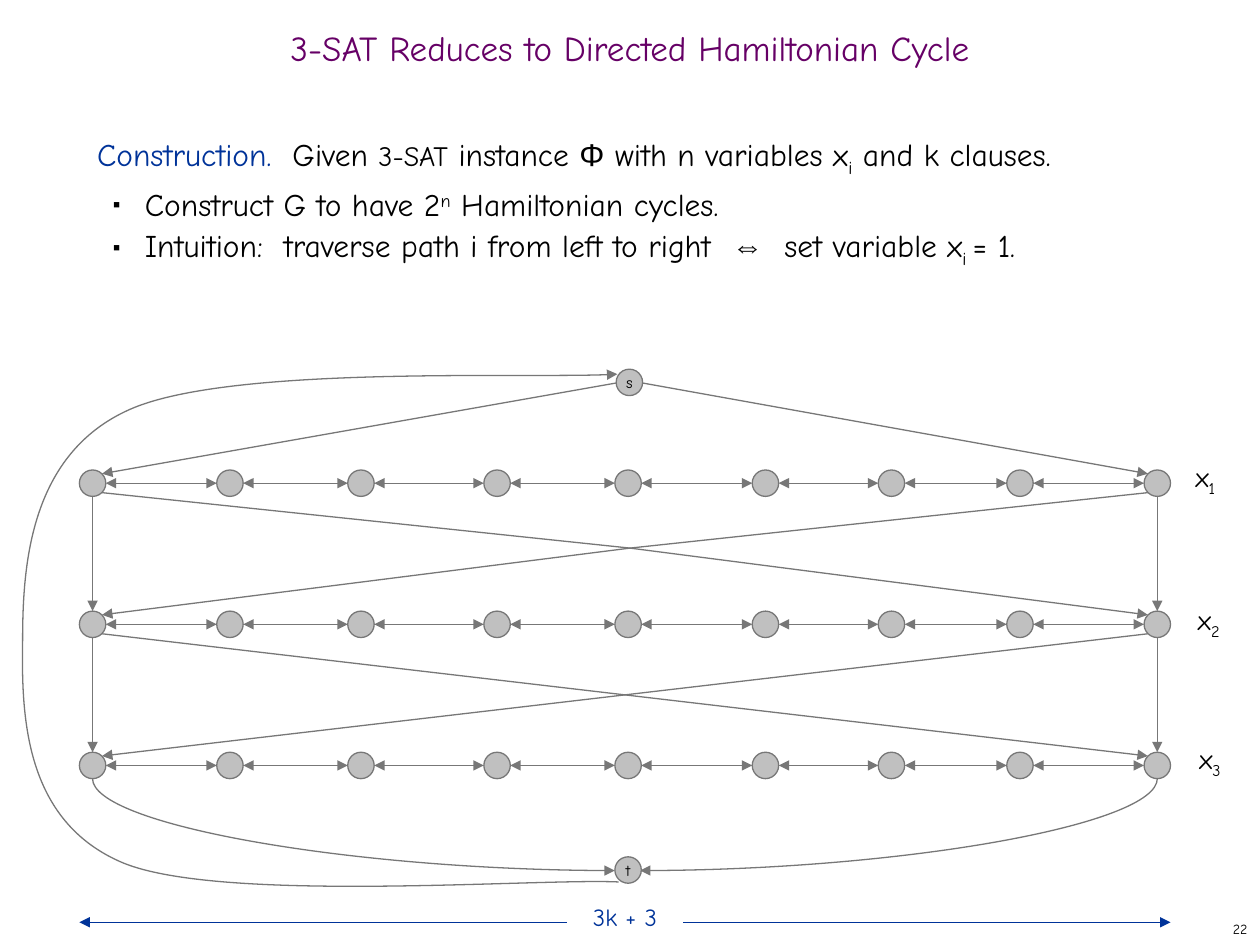
from dataclasses import dataclass
from pptx import Presentation
from pptx.dml.color import RGBColor
from pptx.enum.shapes import MSO_CONNECTOR, MSO_SHAPE
from pptx.enum.text import MSO_ANCHOR, MSO_AUTO_SIZE, PP_ALIGN
from pptx.oxml.ns import qn
from pptx.util import Inches, Pt
from lxml.etree import SubElement


@dataclass
class Theme:
    font: str = "Comic Neue"
    symbol_font: str = "Arial"
    black: RGBColor = RGBColor(0, 0, 0)
    white: RGBColor = RGBColor(255, 255, 255)
    purple: RGBColor = RGBColor(0x66, 0, 0x66)
    blue: RGBColor = RGBColor(0, 0x33, 0x99)
    node: RGBColor = RGBColor(0xC0, 0xC0, 0xC0)
    edge: RGBColor = RGBColor(0x77, 0x77, 0x77)
    stroke: float = 0.75
    title: int = 20
    body: int = 18
    label: int = 16
    measure: int = 14
    node_text: int = 9
    page_number: int = 8


theme = Theme()
deck = Presentation()
deck.slide_width, deck.slide_height = Inches(10), Inches(7.5)
page = deck.slides.add_slide(deck.slide_layouts[1])
shapes = page.shapes

# Grid of 100 columns by 75 rows of square cells
cell = deck.slide_width // 100
node_size = 2.1
radius = node_size / 2
node_columns = [6.3, 17.2, 27.6, 38.4, 48.8, 59.7, 69.7, 79.9, 90.8]
node_rows = [37.3 + 11.2 * row for row in range(3)]
left, right = node_columns[0] + radius, node_columns[-1] + radius


def write(para, runs, size, color=theme.black):
    """Add (text, options) runs; options override font, size, color, baseline."""
    for text, options in runs:
        span = para.add_run()
        span.text = text
        span.font.name = options.get("font", theme.font)
        span.font.size = Pt(options.get("size", size))
        span.font.color.rgb = options.get("color", color)
        if "baseline" in options:
            span.font._element.set("baseline", str(options["baseline"] * 1000))


def connect(start, end, ends=("tailEnd",), color=theme.edge, kind=MSO_CONNECTOR.STRAIGHT):
    """Draw a connector between two grid points, with the given arrowheads."""
    line = shapes.add_connector(kind, *(round(v * cell) for v in (*start, *end)))
    line.line.color.rgb = color
    line.line.width = Pt(theme.stroke)
    for tag in ends:
        SubElement(line.line._get_or_add_ln(), qn(f"a:{tag}"), type="triangle")
    SubElement(line._element.spPr, qn("a:effectLst"))
    return line


# Title
title = shapes.title
title.left, title.top, title.width, title.height = (round(v * cell) for v in (0, 1.7, 100, 5))
title.text_frame.auto_size = MSO_AUTO_SIZE.NONE
title.text_frame.vertical_anchor = MSO_ANCHOR.MIDDLE
para = title.text_frame.paragraphs[0]
para.alignment = PP_ALIGN.CENTER
para.line_spacing = 0.7
write(para, [("3-SAT Reduces to Directed Hamiltonian Cycle", {})], theme.title, theme.purple)

# Construction text
subscript, superscript = {"baseline": -25}, {"baseline": 30}
symbol = {"font": theme.symbol_font}
statements = [
    [("Construction.  ", {"color": theme.blue}), ("Given ", {}),
     ("3-SAT", {"size": theme.label}), (" instance ", {}), ("Φ", symbol),
     (" with n variables x", {}), ("i", subscript), (" and k clauses.", {})],
    [("Construct G to have 2", {}), ("n", superscript), (" Hamiltonian cycles.", {})],
    [("Intuition:  traverse path i from left to right  ", {}), ("⇔", symbol),
     ("  set variable x", {}), ("i ", subscript), ("= 1.", {})],
]
body = page.placeholders[1]
body.left, body.top, body.width, body.height = (round(v * cell) for v in (6.7, 10, 85.8, 59.2))
body.text_frame.auto_size = MSO_AUTO_SIZE.NONE
for index, runs in enumerate(statements):
    para = body.text_frame.paragraphs[0] if index == 0 else body.text_frame.add_paragraph()
    para.line_spacing = Pt(26)
    para.space_before = Pt(0)
    properties = para._p.get_or_add_pPr()
    if index == 0:
        properties.set("marL", "0")
        properties.set("indent", "0")
        SubElement(properties, qn("a:buNone"))
    else:
        para.level = 1
        properties.set("marL", str(Inches(0.38)))
        properties.set("indent", str(Inches(-0.25)))
        bullet_color = SubElement(properties, qn("a:buClr"))
        SubElement(bullet_color, qn("a:srgbClr"), val=str(theme.black))
        SubElement(properties, qn("a:buSzPct"), val="35000")
        SubElement(properties, qn("a:buFont"), typeface=theme.symbol_font)
        SubElement(properties, qn("a:buChar"), char="■")
    write(para, runs, theme.body)

# Two-way edges along each variable path
for top in node_rows:
    for column, following in zip(node_columns, node_columns[1:]):
        connect((column + node_size, top + radius), (following, top + radius),
                ("headEnd", "tailEnd"))

# Edges from s to the first path
connect((48.9, 30.4), (8.1, 37.6))
connect((51, 30.4), (91.1, 37.6))

# Vertical and crossing edges between paths
for top, following in zip(node_rows, node_rows[1:]):
    for x in (left, right):
        connect((x, top + node_size), (x, following))
crossing = (50, 43.5)
for near, far in ((8.1, 91.1), (91.1, 8.1)):
    connect((near, 39.1), crossing, ())
    connect(crossing, (far, 48.8))
    connect((near, 50.3), (far, 60))

# Curved edges from the last path into t
for x, side in ((right, 50.8), (left, 48.8)):
    curve = connect((side, 69.1), (x, 61.8), ("headEnd",), kind=MSO_CONNECTOR.CURVE)
    curve._element.spPr.find(qn("a:prstGeom")).set("prst", "curvedConnector2")

# Return edge from t to s: a start point, then three points per Bézier segment
return_points = [(round(x * cell), round(y * cell)) for x, y in (
    (49.1, 70),
    (42.6, 69.7), (17.7, 71.7), (9.8, 68.5),
    (1.9, 65.2), (1.7, 56.8), (1.8, 50.8),
    (1.8, 44.8), (2.4, 36), (10.3, 32.5),
    (18.2, 29), (42.6, 30.1), (49, 29.7))]
builder = shapes.build_freeform(*return_points[0])
builder.add_line_segments(return_points[1:], close=False)
return_edge = builder.convert_to_shape()
return_edge.shadow.inherit = False
return_edge.fill.background()
return_edge.line.color.rgb = theme.edge
return_edge.line.width = Pt(theme.stroke)
SubElement(return_edge.line._get_or_add_ln(), qn("a:tailEnd"), type="triangle")
outline = next(return_edge._element.iter(qn("a:path")))
segments = outline.findall(qn("a:lnTo"))
for first in range(0, len(segments), 3):
    bezier = SubElement(outline, qn("a:cubicBezTo"))
    for segment in segments[first:first + 3]:
        bezier.append(segment[0])
        outline.remove(segment)

# Nodes
nodes = [(x, y, "") for y in node_rows for x in node_columns]
nodes += [(48.9, 29.3, "s"), (48.8, 68, "t")]
for x, y, name in nodes:
    node = shapes.add_shape(MSO_SHAPE.OVAL,
                            *(round(v * cell) for v in (x, y, node_size, node_size)))
    node.shadow.inherit = False
    node.fill.solid()
    node.fill.fore_color.rgb = theme.node
    node.line.color.rgb = theme.edge
    node.line.width = Pt(theme.stroke)
    if name:
        node.text_frame.word_wrap = False
        node.text_frame.vertical_anchor = MSO_ANCHOR.MIDDLE
        para = node.text_frame.paragraphs[0]
        para.alignment = PP_ALIGN.CENTER
        write(para, [(name, {})], theme.node_text)

# Path length measure
connect((6.3, 73.2), (92.9, 73.2), ("headEnd", "tailEnd"), theme.blue)
measure = shapes.add_textbox(*(round(v * cell) for v in (45, 71.6, 9.2, 2.3)))
measure.fill.solid()
measure.fill.fore_color.rgb = theme.white
measure.text_frame.word_wrap = True
measure.text_frame.margin_top = measure.text_frame.margin_bottom = 0
para = measure.text_frame.paragraphs[0]
para.alignment = PP_ALIGN.CENTER
write(para, [("3k + 3", {})], theme.measure, theme.blue)

# Variable labels
for digit, x, y in (("1", 93.9, 36), ("2", 94.1, 47.3), ("3", 94.2, 58.4)):
    box = shapes.add_textbox(*(round(v * cell) for v in (x, y, 3.7, 4)))
    box.text_frame.word_wrap = False
    write(box.text_frame.paragraphs[0], [("x", {}), (digit, subscript)], theme.label)

# Page number
box = shapes.add_textbox(*(round(v * cell) for v in (79.2, 72.5, 20.8, 2.5)))
box.text_frame.word_wrap = True
box.text_frame.vertical_anchor = MSO_ANCHOR.MIDDLE
para = box.text_frame.paragraphs[0]
para.alignment = PP_ALIGN.RIGHT
write(para, [("22", {})], theme.page_number)

deck.save("out.pptx")
